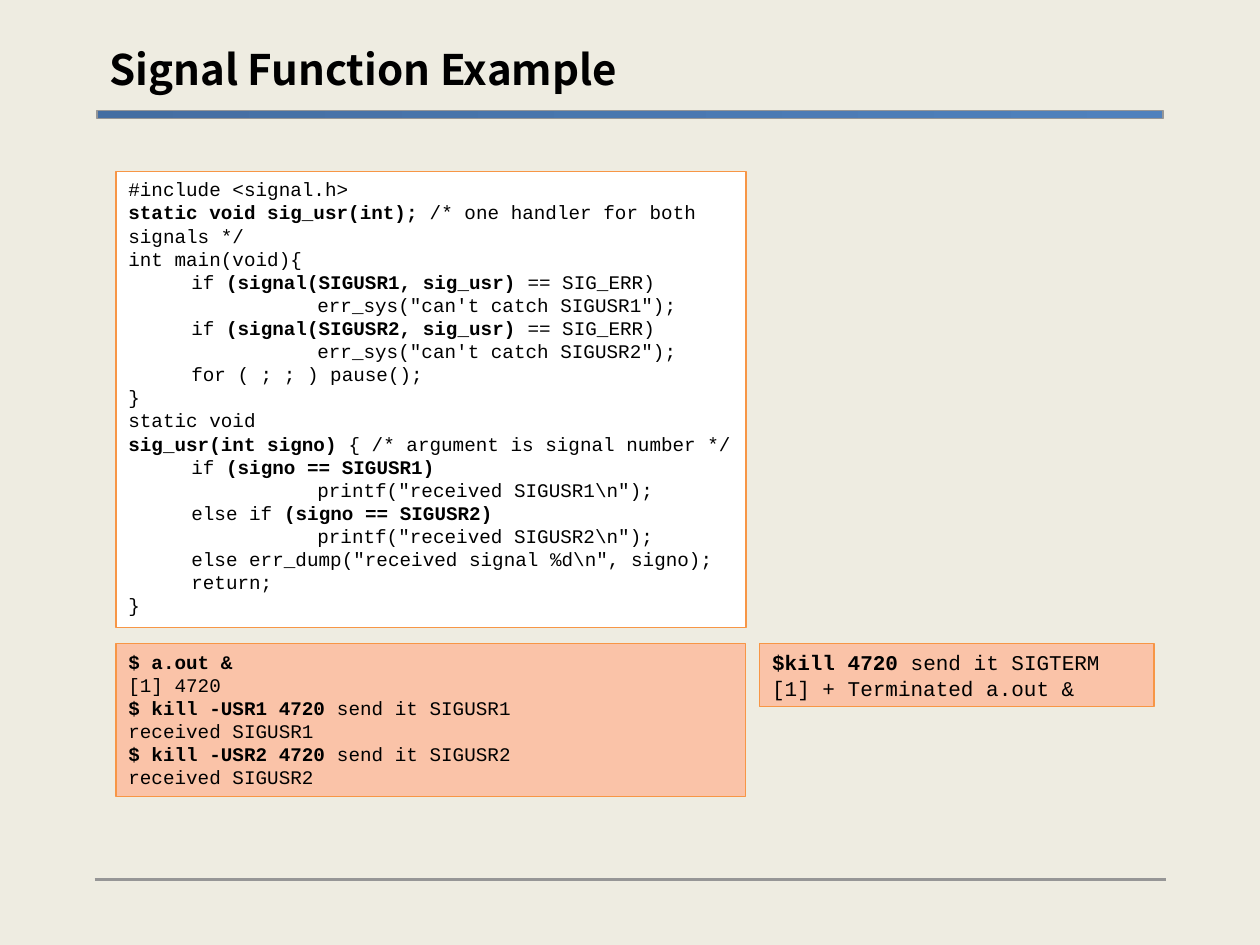
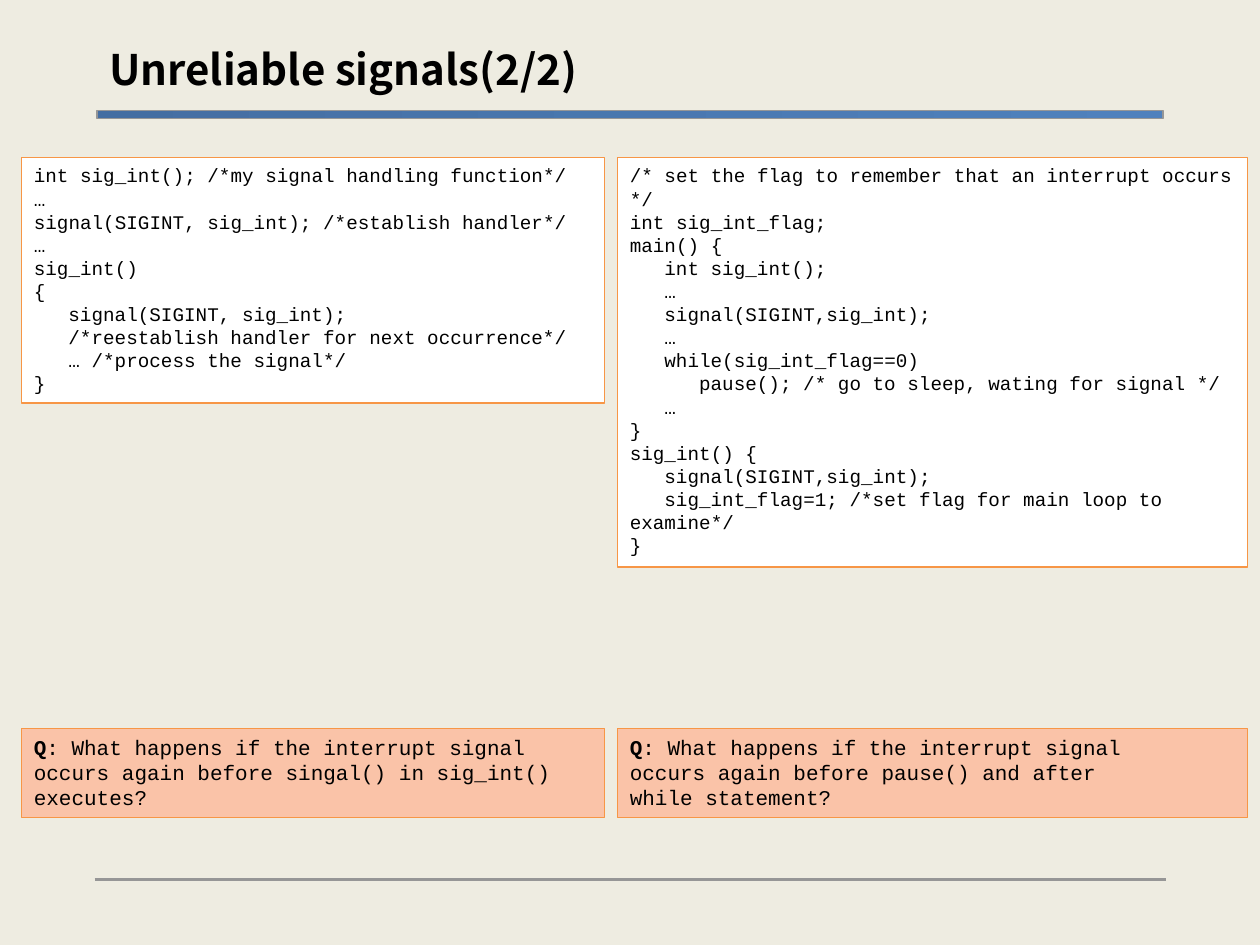
from pptx import Presentation
from pptx.dml.color import RGBColor as RGB
from pptx.enum.shapes import MSO_CONNECTOR as LINK, MSO_SHAPE as SHAPE
from pptx.enum.text import MSO_ANCHOR as ANCHOR, MSO_AUTO_SIZE as FIT, PP_ALIGN as ALIGN
from pptx.oxml.ns import qn
from pptx.util import Inches, Pt
from lxml import etree

# Shared style; one grid cell is a tenth of an inch
COLS, ROWS = 100, 75
HUES = {
    "paper": "EEECE1", "ink": "000000", "gray": "969696", "edge": "F79646",
    "code": "FFFFFF", "note": "FAC3A8", "dark": "446EA2", "blue": "4F81BD",
}
MONO, HEAD = "Courier New", "Noto Sans CJK KR"
TAB = 0.5                    # indent step in inches
CHARS = 3 * 0.6 * 11 / 72    # three characters of 11 point code

# A bar switches bold on and off; each leading tab is one indent step
USR_CODE = """#include <signal.h>
|static void sig_usr(int); |/* one handler for both signals */
int main(void){
\tif |(signal(SIGUSR1, sig_usr) |== SIG_ERR)
\t\t\terr_sys("can't catch SIGUSR1");
\tif |(signal(SIGUSR2, sig_usr) |== SIG_ERR)
\t\t\terr_sys("can't catch SIGUSR2");
\tfor ( ; ; ) pause();
}
static void
|sig_usr(int signo) |{ /* argument is signal number */
\tif |(signo == SIGUSR1)
\t\t\tprintf("received SIGUSR1\\n");
\telse if |(signo == SIGUSR2)
\t\t\tprintf("received SIGUSR2\\n");
\telse err_dump("received signal %d\\n", signo);
\treturn;
}"""

USR_RUN = """|$ a.out &
[1] 4720
|$ kill -USR1 4720 |send it SIGUSR1
received SIGUSR1
|$ kill -USR2 4720 |send it SIGUSR2
received SIGUSR2"""

TERM_RUN = """|$kill 4720 |send it SIGTERM
[1] + Terminated a.out &"""

RESET_CODE = """int sig_int(); /*my signal handling function*/
…
signal(SIGINT, sig_int); /*establish handler*/
…
sig_int()
{
\tsignal(SIGINT, sig_int);
\t/*reestablish handler for next occurrence*/
\t… /*process the signal*/
}"""

FLAG_CODE = """/* set the flag to remember that an interrupt occurs */
int sig_int_flag;
main() {
\tint sig_int();
\t…
\tsignal(SIGINT,sig_int);
\t…
\twhile(sig_int_flag==0)
\t\tpause(); /* go to sleep, wating for signal */
\t…
}
sig_int() {
\tsignal(SIGINT,sig_int);
\tsig_int_flag=1; /*set flag for main loop to examine*/
}"""

ASK = "|Q|: What happens if the interrupt signal\noccurs again before "
RESET_ASK = ASK + "singal() in sig_int()\nexecutes?"
FLAG_ASK = ASK + "pause() and after\nwhile statement?"


class Deck:
    def __init__(self):
        self.prs = Presentation()
        self.prs.slide_width, self.prs.slide_height = Inches(10), Inches(7.5)
        self.slide = None

    def hue(self, name):
        return RGB.from_string(HUES[name])

    def grid(self, x, y, w, h):
        col, row = self.prs.slide_width / COLS, self.prs.slide_height / ROWS
        return [round(n) for n in (x * col, y * row, w * col, h * row)]

    def page(self, title):
        self.slide = self.prs.slides.add_slide(self.prs.slide_layouts[6])
        back = self.slide.background.fill
        back.solid()
        back.fore_color.rgb = self.hue("paper")
        self.rule(7.5, 92.5, 69.8)
        self.band(7.7, 8.8, 84.6, 0.6)
        self.title(title)

    def rule(self, left, right, y):
        x1, y1, x2, y2 = self.grid(left, y, right, y)
        line = self.slide.shapes.add_connector(LINK.STRAIGHT, x1, y1, x2, y2)
        line.line.color.rgb = self.hue("gray")
        line.line.width = Pt(2)
        etree.SubElement(line._element.spPr, qn("a:effectLst"))

    def rect(self, area, edge, width):
        rect = self.slide.shapes.add_shape(SHAPE.RECTANGLE, *self.grid(*area))
        rect.shadow.inherit = False
        rect.line.color.rgb = self.hue(edge)
        rect.line.width = Pt(width)
        return rect

    def band(self, *area):
        fill = self.rect(area, "gray", 0.75).fill
        fill.gradient()
        fill.gradient_angle = 0
        for stop, name in zip(fill.gradient_stops, ("dark", "blue")):
            stop.color.rgb = self.hue(name)

    def run(self, para, text, font, size, bold):
        run = para.add_run()
        run.text = text
        run.font.name, run.font.size, run.font.bold = font, Pt(size), bold
        run.font.color.rgb = self.hue("ink")

    def title(self, text):
        box = self.slide.shapes.add_textbox(*self.grid(7.7, 1.7, 85, 7.5))
        frame = box.text_frame
        frame.word_wrap = True
        frame.vertical_anchor = ANCHOR.MIDDLE
        self.run(frame.paragraphs[0], text, HEAD, 24, True)

    def panel(self, area, text, fill="code", size=11, step=TAB):
        rect = self.rect(area, "edge", 0.85 if fill == "code" else 0.75)
        rect.fill.solid()
        rect.fill.fore_color.rgb = self.hue(fill)
        frame = rect.text_frame
        frame.word_wrap = True
        frame.auto_size = FIT.SHAPE_TO_FIT_TEXT
        frame.vertical_anchor = ANCHOR.TOP
        for i, line in enumerate(text.split("\n")):
            para = frame.add_paragraph() if i else frame.paragraphs[0]
            para.alignment = ALIGN.LEFT
            body = line.lstrip("\t")
            depth = len(line) - len(body)
            if depth:    # only the first line of a wrapped paragraph moves in
                props = para._p.get_or_add_pPr()
                props.set("marL", "0")
                props.set("indent", str(Inches(depth * step)))
            for k, part in enumerate(body.split("|")):
                if part:
                    self.run(para, part, MONO, size, k % 2 == 1)


def main():
    deck = Deck()

    # Handler for two user signals, with its shell session
    deck.page("Signal Function Example")
    deck.panel((9.2, 13.6, 50, 36.2), USR_CODE)
    deck.panel((9.2, 51.1, 50, 12.1), USR_RUN, "note")
    deck.panel((60.3, 51.1, 31.3, 5), TERM_RUN, "note", 12)

    # Two columns: code above, question below
    deck.page("Unreliable signals(2/2)")
    for x, wide, high, code, ask in (
        (1.7, 46.3, 19.5, RESET_CODE, RESET_ASK),
        (49, 50, 32.5, FLAG_CODE, FLAG_ASK),
    ):
        deck.panel((x, 12.5, wide, high), code, step=CHARS)
        deck.panel((x, 57.8, wide, 7.1), ask, "note", 12)

    deck.prs.save("out.pptx")


if __name__ == "__main__":
    main()
